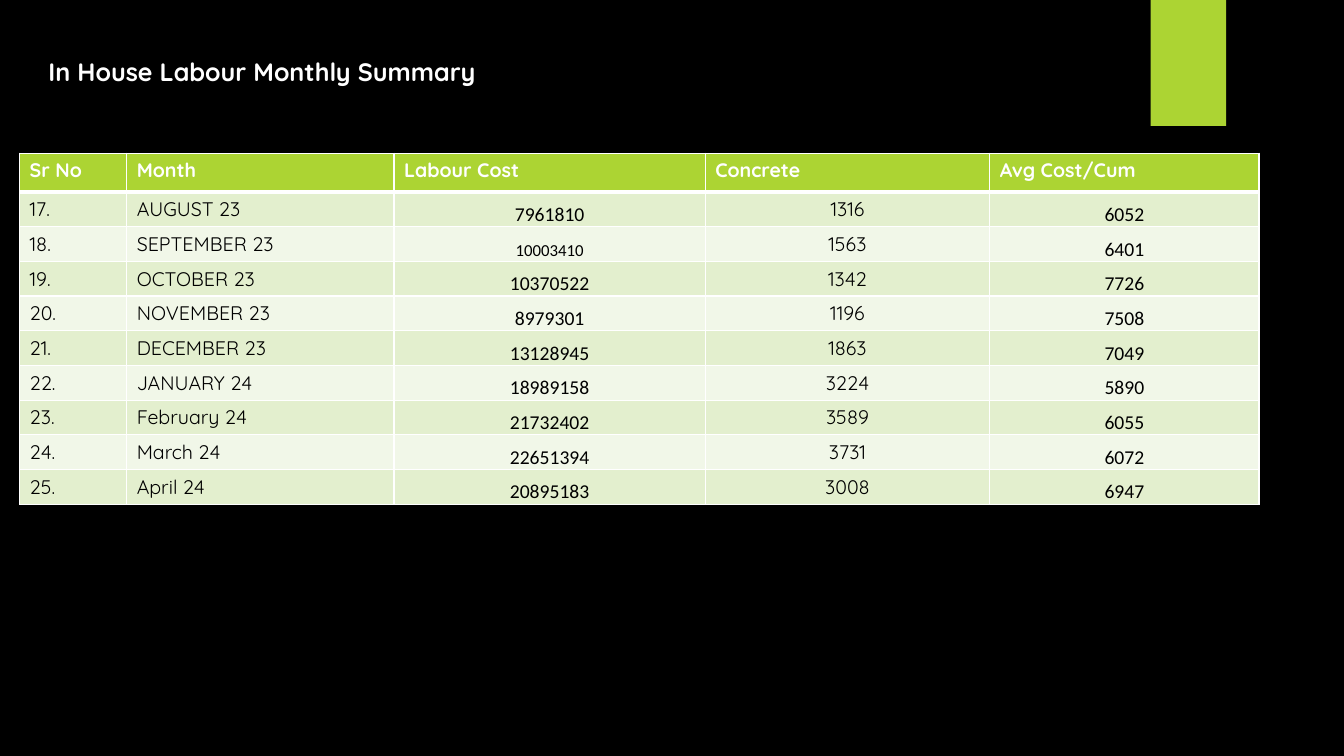
import dataclasses
from typing import Optional

import lxml.etree
import pptx
import pptx.dml.color
import pptx.enum.shapes
import pptx.enum.text
import pptx.oxml.ns
import pptx.util

Pt = pptx.util.Pt
Align = pptx.enum.text.PP_ALIGN
Anchor = pptx.enum.text.MSO_ANCHOR

COLOURS = {
    "background": "000000",
    "accent": "ACD433",
    "odd row": "E3EFCE",
    "even row": "F1F7E8",
    "light": "FFFFFF",
    "dark": "000000",
}
HEADING_FONT = "Quicksand"
NUMBER_FONT = "Calibri"
TEXT_SIZE = 14
HEADER_HEIGHT = 27.8
ROW_HEIGHT = 24.8
GRID_LINE = 1
HEADER_LINE = 3


@dataclasses.dataclass(frozen=True)
class Column:
    heading: str
    width: float
    font: str = HEADING_FONT
    align: Align = Align.LEFT
    anchor: Anchor = Anchor.TOP
    margin: Optional[float] = None


@dataclasses.dataclass(frozen=True)
class Month:
    name: str
    labour_cost: int
    concrete: int
    average_cost: int
    cost_size: float = TEXT_SIZE


COLUMNS = [
    Column("Sr No", 76.5),
    Column("Month", 191),
    Column("Labour Cost", 222.3, NUMBER_FONT, Align.CENTER, Anchor.BOTTOM, 0),
    Column("Concrete", 203.2, HEADING_FONT, Align.CENTER, Anchor.MIDDLE, 0),
    Column("Avg Cost/Cum", 192.4, NUMBER_FONT, Align.CENTER, Anchor.BOTTOM, 0),
]
FIRST_NUMBER = 17
MONTHS = [
    Month("AUGUST 23", 7961810, 1316, 6052),
    Month("SEPTEMBER 23", 10003410, 1563, 6401, cost_size=12),
    Month("OCTOBER 23", 10370522, 1342, 7726),
    Month("NOVEMBER 23", 8979301, 1196, 7508),
    Month("DECEMBER 23", 13128945, 1863, 7049),
    Month("JANUARY 24", 18989158, 3224, 5890),
    Month("February 24", 21732402, 3589, 6055),
    Month("March 24", 22651394, 3731, 6072),
    Month("April 24", 20895183, 3008, 6947),
]


def colour(name: str) -> pptx.dml.color.RGBColor:
    return pptx.dml.color.RGBColor.from_string(COLOURS[name])


def format_paragraph(paragraph, font: str, size: float, ink: str, bold: bool) -> None:
    paragraph.font.name = font
    paragraph.font.size = Pt(size)
    paragraph.font.bold = bold
    paragraph.font.color.rgb = colour(ink)


def set_borders(cell, top: float, bottom: float) -> None:
    """Draw light cell borders; the border elements must precede the fill."""
    properties = cell._tc.get_or_add_tcPr()
    widths = {"lnL": GRID_LINE, "lnR": GRID_LINE, "lnT": top, "lnB": bottom}
    for position, (tag, width) in enumerate(widths.items()):
        line = lxml.etree.Element(pptx.oxml.ns.qn(f"a:{tag}"), w=str(Pt(width)))
        fill = lxml.etree.SubElement(line, pptx.oxml.ns.qn("a:solidFill"))
        lxml.etree.SubElement(fill, pptx.oxml.ns.qn("a:srgbClr"), val=COLOURS["light"])
        properties.insert(position, line)


def fill_cell(cell, text: str, fill: str, font: str, size: float, ink: str, bold: bool) -> None:
    cell.text = text
    cell.fill.solid()
    cell.fill.fore_color.rgb = colour(fill)
    format_paragraph(cell.text_frame.paragraphs[0], font, size, ink, bold)


def add_title(page) -> None:
    title = page.shapes.title
    title.left, title.top, title.width, title.height = Pt(27.4), Pt(36.7), Pt(479.5), Pt(51)
    title.text_frame.text = "In House Labour Monthly Summary"
    title.text_frame.vertical_anchor = Anchor.TOP
    title.text_frame.word_wrap = True
    title.text_frame.auto_size = pptx.enum.text.MSO_AUTO_SIZE.NONE
    paragraph = title.text_frame.paragraphs[0]
    paragraph.alignment = Align.LEFT
    paragraph.line_spacing = 1.0
    paragraph.space_before = Pt(0)
    format_paragraph(paragraph, HEADING_FONT, 18, "light", True)


def add_accent_tab(page) -> None:
    tab = page.shapes.add_shape(
        pptx.enum.shapes.MSO_SHAPE.RECTANGLE, Pt(821.9), Pt(0), Pt(54), Pt(90)
    )
    tab.shadow.inherit = False
    tab.fill.solid()
    tab.fill.fore_color.rgb = colour("accent")
    tab.line.fill.background()


def add_summary_table(page) -> None:
    width = sum(column.width for column in COLUMNS)
    height = HEADER_HEIGHT + ROW_HEIGHT * len(MONTHS)
    frame = page.shapes.add_table(
        len(MONTHS) + 1, len(COLUMNS), Pt(14), Pt(109.4), Pt(width), Pt(height)
    )
    table = frame.table
    table.rows[0].height = Pt(HEADER_HEIGHT)
    for index, column in enumerate(COLUMNS):
        table.columns[index].width = Pt(column.width)
        header = table.cell(0, index)
        fill_cell(header, column.heading, "accent", HEADING_FONT, TEXT_SIZE, "light", True)
        set_borders(header, GRID_LINE, HEADER_LINE)

    for row, month in enumerate(MONTHS, start=1):
        table.rows[row].height = Pt(ROW_HEIGHT)
        values = [
            f"{FIRST_NUMBER + row - 1}.",
            month.name,
            month.labour_cost,
            month.concrete,
            month.average_cost,
        ]
        band = "odd row" if row % 2 else "even row"
        for index, (column, value) in enumerate(zip(COLUMNS, values)):
            cell = table.cell(row, index)
            size = month.cost_size if column.heading == "Labour Cost" else TEXT_SIZE
            fill_cell(cell, str(value), band, column.font, size, "dark", False)
            cell.text_frame.paragraphs[0].alignment = column.align
            cell.vertical_anchor = column.anchor
            if column.margin is not None:
                margin = Pt(column.margin)
                cell.margin_left = cell.margin_right = margin
                cell.margin_top = cell.margin_bottom = margin
            set_borders(cell, HEADER_LINE if row == 1 else GRID_LINE, GRID_LINE)


def main() -> None:
    deck = pptx.Presentation()
    deck.slide_width, deck.slide_height = Pt(960), Pt(540)
    page = deck.slides.add_slide(deck.slide_layouts.get_by_name("Title Only"))
    page.background.fill.solid()
    page.background.fill.fore_color.rgb = colour("background")
    add_accent_tab(page)
    add_summary_table(page)
    add_title(page)
    deck.save("out.pptx")


if __name__ == "__main__":
    main()
